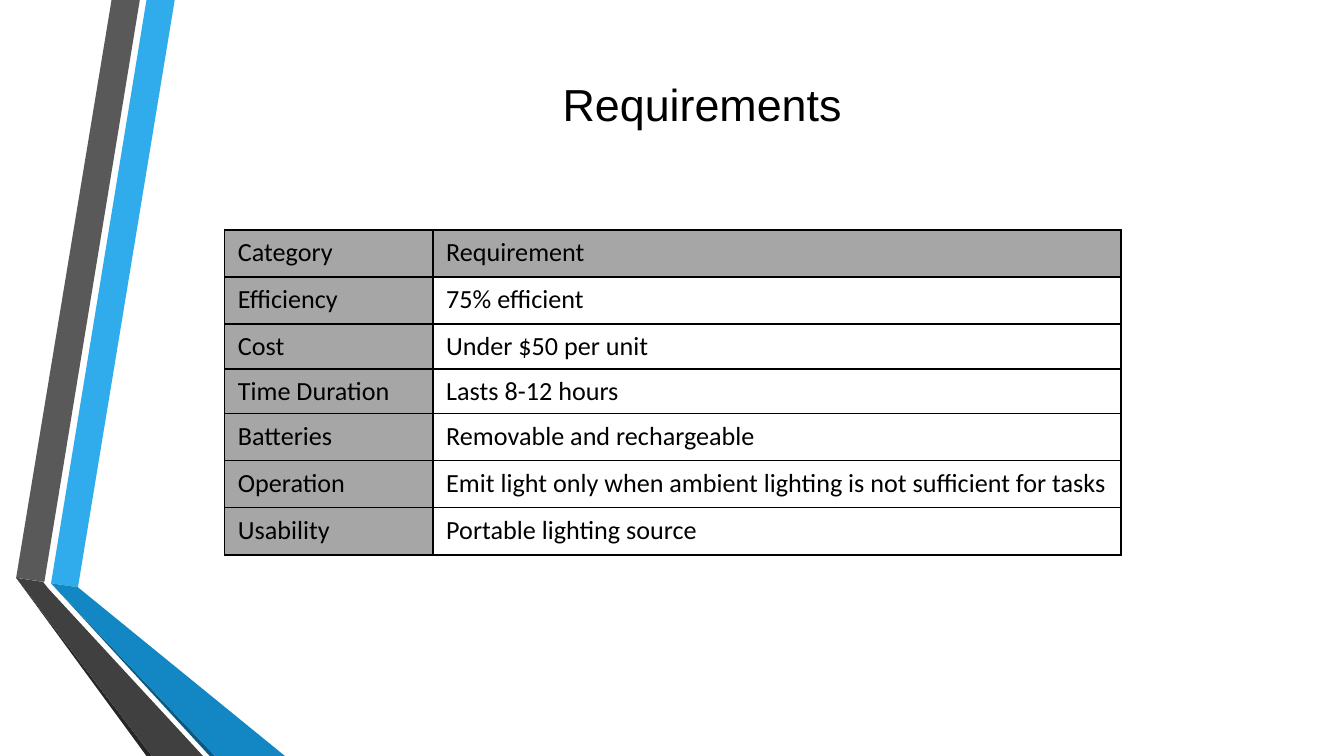
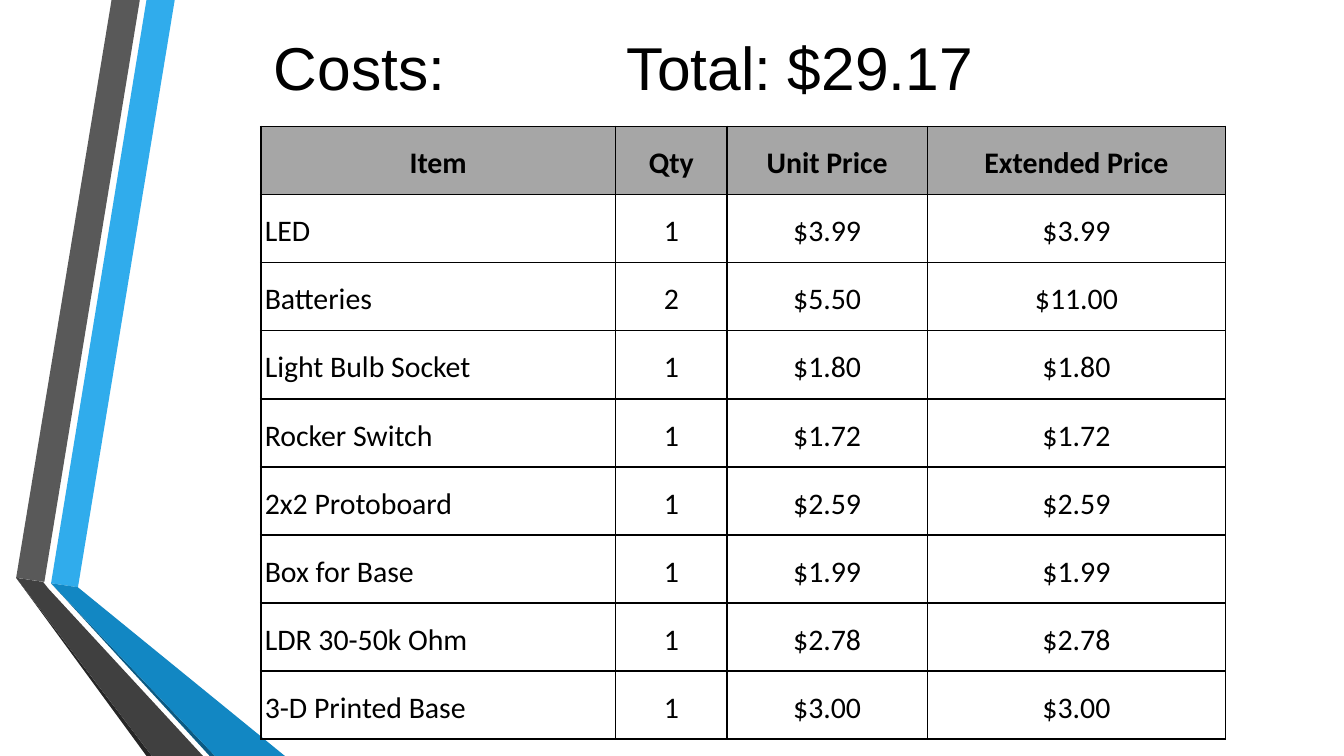
from dataclasses import dataclass

from lxml import etree
from pptx import Presentation, util as u
from pptx.dml.color import RGBColor
from pptx.enum import text
from pptx.oxml.ns import qn

CENTER, LEFT = text.PP_ALIGN.CENTER, text.PP_ALIGN.LEFT
TOP, BOTTOM = text.MSO_ANCHOR.TOP, text.MSO_ANCHOR.BOTTOM
COLS = 100  # square grid cells across the slide; 56.25 rows fit a 16:9 page


@dataclass(frozen=True)
class Theme:
    ink: str = "000000"
    shade: str = "A6A6A6"
    sky: str = "30ACEC"
    blue: str = "1287C3"
    navy: str = "0C5A82"
    gray: str = "595959"
    dark: str = "404040"
    black: str = "262626"
    title_font: str = "Arial"
    body_font: str = "Calibri"
    title_size: float = 24
    costs_size: float = 32.4
    small: float = 14
    large: float = 16


T = Theme()
BOTTOM_ROW = 56.25

# Folded ribbons in the left margin, from back to front, in grid units.
RIBBONS = [
    (T.sky, [(3.8, 43.4), (5.8, 43.7), (13, 0), (10.9, 0)]),
    (T.gray, [(10.4, 0), (8.3, 0), (1.2, 43), (3.3, 43.3)]),
    (T.black, [(1.2, 43), (10.9, BOTTOM_ROW), (11.3, BOTTOM_ROW)]),
    (T.navy, [(3.8, 43.4), (15.6, BOTTOM_ROW), (16, BOTTOM_ROW)]),
    (T.blue, [(3.8, 43.4), (16, BOTTOM_ROW), (21.2, BOTTOM_ROW), (5.8, 43.7)]),
    (T.dark, [(15.1, BOTTOM_ROW), (3.6, 43.8), (3.2, 43.3), (1.2, 43),
              (11.3, BOTTOM_ROW)]),
]

REQUIREMENTS = [
    ("Category", "Requirement"),
    ("Efficiency", "75% efficient"),
    ("Cost", "Under $50 per unit"),
    ("Time Duration", "Lasts 8-12 hours"),
    ("Batteries", "Removable and rechargeable"),
    ("Operation", "Emit light only when ambient lighting is not sufficient for tasks"),
    ("Usability", "Portable lighting source"),
]

COSTS = [
    ("Item", "Qty", "Unit Price", "Extended Price"),
    ("LED", "1", "$3.99", "$3.99"),
    ("Batteries", "2", "$5.50", "$11.00"),
    ("Light Bulb Socket", "1", "$1.80", "$1.80"),
    ("Rocker Switch", "1", "$1.72", "$1.72"),
    ("2x2 Protoboard", "1", "$2.59", "$2.59"),
    ("Box for Base", "1", "$1.99", "$1.99"),
    ("LDR 30-50k Ohm", "1", "$2.78", "$2.78"),
    ("3-D Printed Base", "1", "$3.00", "$3.00"),
]


class Deck:
    def __init__(self, theme):
        self.theme = theme
        self.prs = Presentation()
        self.prs.slide_width = u.Inches(10)
        self.prs.slide_height = u.Inches(10) * 9 // 16
        self.s = None

    def grid(self, n):
        """Length of n grid cells."""
        return u.Emu(round(n * self.prs.slide_width / COLS))

    def slide(self):
        self.s = self.prs.slides.add_slide(self.prs.slide_layouts[6])
        for color, points in RIBBONS:
            self.polygon(color, points)

    def polygon(self, color, points):
        start, *rest = [(self.grid(x), self.grid(y)) for x, y in points]
        path = self.s.shapes.build_freeform(*start)
        path.add_line_segments(rest, close=True)
        sp = path.convert_to_shape()
        sp.shadow.inherit = False
        sp.fill.solid()
        sp.fill.fore_color.rgb = RGBColor.from_string(color)
        sp.line.fill.background()

    def style(self, p, font, size, align, bold=False):
        p.alignment = align
        p.font.name, p.font.size, p.font.bold = font, u.Pt(size), bold
        p.font.color.rgb = RGBColor.from_string(self.theme.ink)

    def title(self, words, box, size, align, tabs=()):
        sp = self.s.shapes.add_textbox(*map(self.grid, box))
        tf = sp.text_frame
        tf.word_wrap = True
        tf.vertical_anchor = TOP
        tf.margin_left = tf.margin_right = tf.margin_bottom = self.grid(1)
        tf.margin_top = self.grid(1.4)
        p = tf.paragraphs[0]
        p.text = words
        self.style(p, self.theme.title_font, size, align)
        if tabs:
            stops = etree.SubElement(p._p.get_or_add_pPr(), qn("a:tabLst"))
            for x in tabs:
                etree.SubElement(stops, qn("a:tab"), pos=str(self.grid(x)), algn="l")

    def border(self, cell):
        for side in "LRTB":
            ln = etree.SubElement(cell._tc.get_or_add_tcPr(), qn(f"a:ln{side}"),
                                  w=str(u.Pt(1)))
            fill = etree.SubElement(ln, qn("a:solidFill"))
            etree.SubElement(fill, qn("a:srgbClr"), val=self.theme.ink)

    def table(self, rows, at, widths, heights, size, shaded, aligns=None,
              bold_head=False, margins=None, anchor=TOP, spacing=None):
        """Bordered table; shaded(row, col) picks the gray cells,
        aligns(row, col) the alignment, margins is (side, top and bottom)."""
        frame = self.s.shapes.add_table(
            len(rows), len(widths),
            *map(self.grid, (*at, sum(widths), sum(heights))))
        tbl = frame.table
        tbl.first_row = tbl.horz_banding = False
        for col, width in zip(tbl.columns, widths):
            col.width = self.grid(width)
        for row, height in zip(tbl.rows, heights):
            row.height = self.grid(height)
        for i, row in enumerate(rows):
            for j, words in enumerate(row):
                cell = tbl.cell(i, j)
                cell.vertical_anchor = anchor
                if margins:
                    side, end = map(self.grid, margins)
                    cell.margin_left = cell.margin_right = side
                    cell.margin_top = cell.margin_bottom = end
                self.border(cell)
                if shaded(i, j):
                    cell.fill.solid()
                    cell.fill.fore_color.rgb = RGBColor.from_string(self.theme.shade)
                else:
                    cell.fill.background()
                p = cell.text_frame.paragraphs[0]
                p.text = words
                self.style(p, self.theme.body_font, size,
                           aligns(i, j) if aligns else LEFT, bold_head and i == 0)
                if spacing:
                    p.line_spacing = spacing


def requirements(deck):
    deck.slide()
    deck.title("Requirements ", (14.2, 4.3, 77, 10), T.title_size, CENTER)
    deck.table(REQUIREMENTS, (16.7, 17.1), (15.5, 51.2),
               (3.5, 3.5, 2.8, 2.8, 3.5, 3.5, 3.5), T.small,
               shaded=lambda i, j: i == 0 or j == 0)


def costs(deck):
    deck.slide()
    deck.title("Costs:\t\t\t\tTotal: $29.17", (19.4, 0.8, 85.9, 5.5),
               T.costs_size, LEFT, tabs=[3.75 * n for n in range(4, 8)])
    deck.table(COSTS, (19.4, 9.4), (26.4, 8.3, 14.9, 22.2),
               [4.4] + [4.9] * (len(COSTS) - 1), T.large,
               shaded=lambda i, j: i == 0,
               aligns=lambda i, j: LEFT if i and j == 0 else CENTER,
               bold_head=True, margins=(0.3, 1), anchor=BOTTOM, spacing=1.15)


def main():
    deck = Deck(T)
    requirements(deck)
    costs(deck)
    deck.prs.save("out.pptx")


if __name__ == "__main__":
    main()
